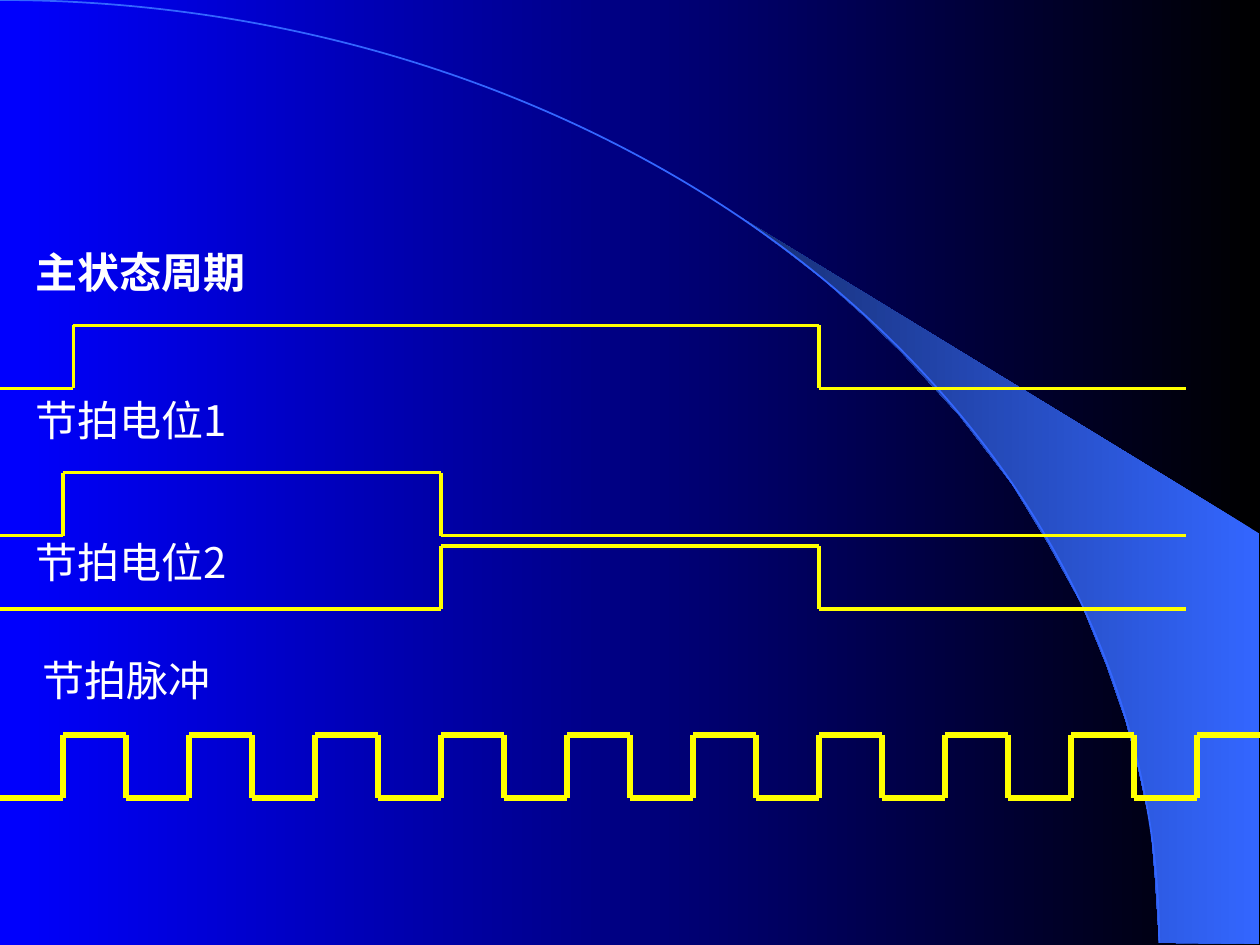
from itertools import pairwise

from pptx import Presentation
from pptx.dml.color import RGBColor
from pptx.enum.shapes import MSO_CONNECTOR, MSO_SHAPE
from pptx.enum.text import MSO_ANCHOR, PP_ALIGN
from pptx.oxml.ns import qn
from pptx.util import Pt

ARC = MSO_SHAPE.ARC
STRAIGHT = MSO_CONNECTOR.STRAIGHT
TOP = MSO_ANCHOR.TOP
LEFT = PP_ALIGN.LEFT

SCALE = 7620  # EMU in one px, 120 px to the inch
PAGE_WIDTH, PAGE_HEIGHT = 1200, 900
SWING = 60  # height of a signal between low and high
SIGNAL_END = 1130
FONT = "Noto Sans CJK SC"
COLORS = {
    "night": "000000",
    "blue": "0000FF",
    "beam": "3366FF",
    "beam_dark": "172F75",
    "signal": "FFFF00",
    "text": "FFFFFF",
}
BEAM_EDGE = [
    (612, 898), (707, 899), (707, 508), (215, 208), (257, 239), (292, 266),
    (330, 300), (367, 336), (422, 396), (472, 461), (506, 517), (538, 575),
    (562, 634), (580, 686), (592, 731), (604, 787), (608, 835),
]


def px(*lengths):
    return [length * SCALE for length in lengths]


def color(name):
    return RGBColor.from_string(COLORS[name])


def fill_gradient(fill, start, end):
    """Run a gradient from start at the right to end at the left."""
    fill.gradient()
    fill.gradient_angle = 180
    for stop, position, name in zip(fill.gradient_stops, (0, 1), (start, end)):
        stop.position = position
        stop.color.rgb = color(name)


def add_text(page, text, box, size=24, bold=False, name="text"):
    frame = page.shapes.add_textbox(*px(*box)).text_frame
    frame.word_wrap = True
    frame.vertical_anchor = TOP
    para = frame.paragraphs[0]
    para.alignment = LEFT
    span = para.add_run()
    span.text = text
    span.font.size = Pt(size)
    span.font.bold = bold
    span.font.name = FONT
    span.font.color.rgb = color(name)
    # Chinese characters take their font from the East Asian slot
    east_asian = span.font._element.makeelement(qn("a:ea"), {"typeface": FONT})
    span.font._element.find(qn("a:latin")).addnext(east_asian)


def add_line(page, start, end, weight):
    line = page.shapes.add_connector(STRAIGHT, *px(*start, *end))
    line.line.color.rgb = color("signal")
    line.line.width = Pt(weight)
    properties = line._element.spPr
    properties.append(properties.makeelement(qn("a:effectLst"), {}))


def draw_backdrop(page, box):
    left, top, width, height = box
    fill_gradient(page.background.fill, "night", "blue")

    points = [tuple(px(left + x + 492, top + y)) for x, y in BEAM_EDGE]
    builder = page.shapes.build_freeform(*points[0], scale=1.0)
    builder.add_line_segments(points[1:], close=True)
    beam = builder.convert_to_shape()
    beam.shadow.inherit = False
    fill_gradient(beam.fill, "beam", "beam_dark")
    beam.line.fill.background()

    radius = width - 96
    arc = page.shapes.add_shape(
        ARC, *px(left - radius, top, 2 * radius, 2 * height - 4))
    arc.shadow.inherit = False
    arc.fill.background()
    arc.line.color.rgb = color("beam")
    arc.line.width = Pt(1)


def draw_signal(page, left, top, width, edges, weight=2.25):
    """Draw a square wave that starts low and changes level at each edge."""
    level = top + SWING
    corners = [(left, level)]
    for edge in edges:
        corners.append((left + edge, level))
        level = 2 * top + SWING - level
        corners.append((left + edge, level))
    corners.append((left + width, level))
    for start, end in pairwise(corners):
        add_line(page, start, end, weight)


def main():
    deck = Presentation()
    deck.slide_width, deck.slide_height = px(PAGE_WIDTH, PAGE_HEIGHT)
    page = deck.slides.add_slide(deck.slide_layouts[6])

    draw_backdrop(page, (0, 0, PAGE_WIDTH, PAGE_HEIGHT))

    draw_signal(page, 0, 310, SIGNAL_END, (70, 780))
    draw_signal(page, 0, 450, SIGNAL_END, (60, 420))
    draw_signal(page, 0, 520, SIGNAL_END, (420, 780))
    draw_signal(page, 0, 700, PAGE_WIDTH, range(60, PAGE_WIDTH, 60), weight=3)

    add_text(page, "主状态周期", (22, 229, 230, 60), bold=True)
    add_text(page, "节拍电位1", (22, 370, 250, 60))
    add_text(page, "节拍电位2", (22, 505, 250, 60))
    add_text(page, "节拍脉冲", (29, 617, 248, 60))

    deck.save("out.pptx")


if __name__ == "__main__":
    main()
